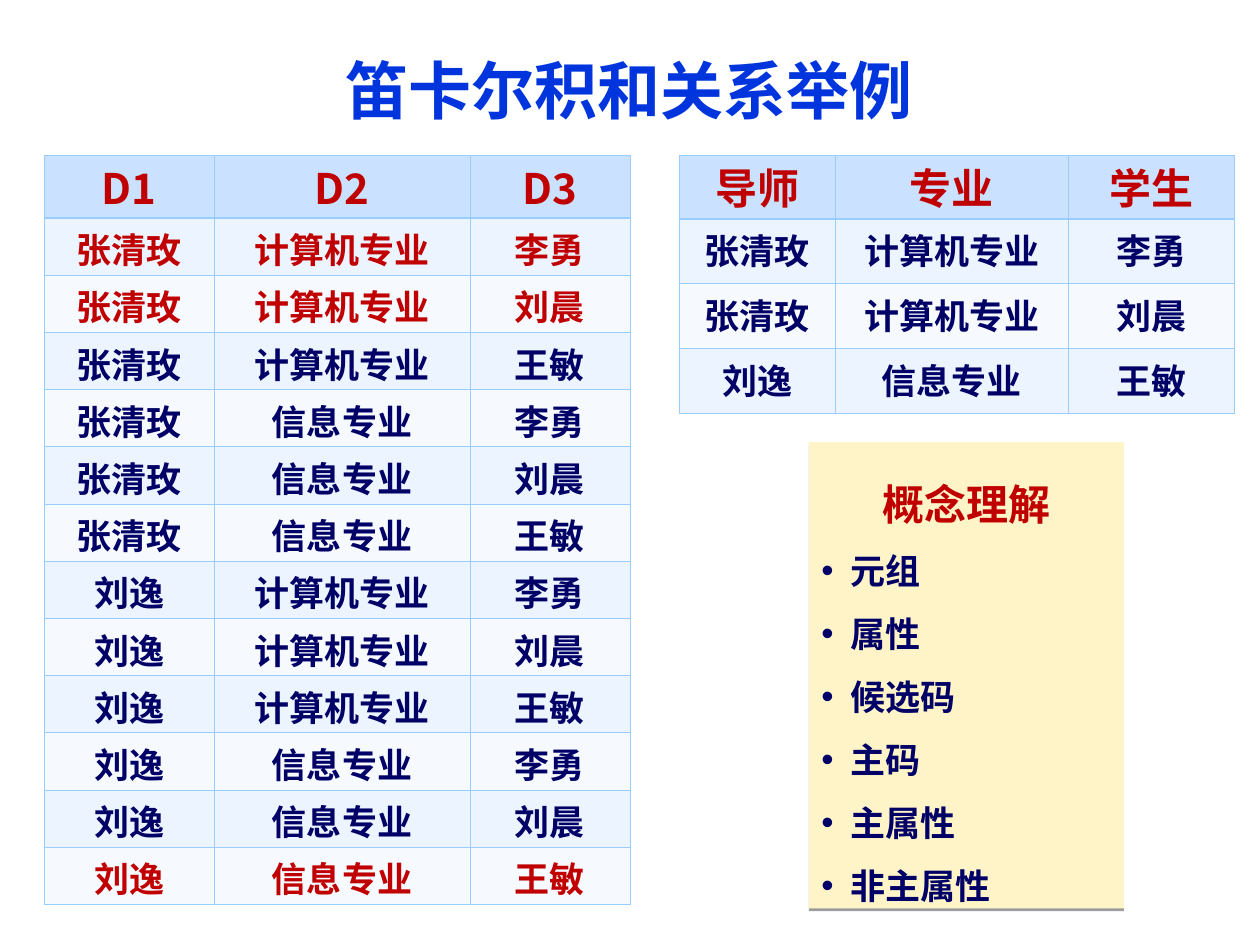
from dataclasses import dataclass
from itertools import product

from lxml import etree
from pptx import Presentation
from pptx.dml.color import RGBColor
from pptx.enum.shapes import MSO_SHAPE
from pptx.enum.text import MSO_ANCHOR, MSO_AUTO_SIZE, PP_ALIGN
from pptx.oxml.ns import qn
from pptx.util import Inches, Pt

RECT = MSO_SHAPE.RECTANGLE
TOP, BOTTOM = MSO_ANCHOR.TOP, MSO_ANCHOR.BOTTOM
LEFT, CENTER = PP_ALIGN.LEFT, PP_ALIGN.CENTER
FIXED = MSO_AUTO_SIZE.NONE


@dataclass(frozen=True)
class Theme:
    font: str = "Noto Sans CJK SC"
    title: str = "0035DE"
    red: str = "C00000"
    navy: str = "000066"
    head: str = "CAE2FF"
    bands: tuple = ("ECF4FF", "F6FAFF")
    grid: str = "99CCFF"
    note: str = "FFF4C8"
    big: int = 36
    mid: int = 24
    small: int = 20
    thin: float = 0.45
    thick: float = 1.47


THEME = Theme()

TUTORS = ["张清玫", "刘逸"]
MAJORS = ["计算机专业", "信息专业"]
PUPILS = ["李勇", "刘晨", "王敏"]
RELATION = [
    ("张清玫", "计算机专业", "李勇"),
    ("张清玫", "计算机专业", "刘晨"),
    ("刘逸", "信息专业", "王敏"),
]
TERMS = ["元组", "属性", "候选码", "主码", "主属性", "非主属性"]


def add_node(parent, tag, **attrs):
    node = etree.SubElement(parent, qn(tag))
    for key, value in attrs.items():
        node.set(key, str(value))
    return node


def style(para, size, color, align=CENTER):
    para.alignment = align
    font = para.font
    font.size, font.bold = Pt(size), True
    font.color.rgb = RGBColor.from_string(color)
    font.name = THEME.font
    props = para._p.pPr.find(qn("a:defRPr"))
    add_node(props, "a:ea", typeface=THEME.font)


def add_bullet(para):
    props = para._p.get_or_add_pPr()
    indent = Inches(0.23)
    props.set("marL", str(indent))
    props.set("indent", str(-indent))
    color = add_node(props, "a:buClr")
    add_node(color, "a:srgbClr", val=THEME.navy)
    add_node(props, "a:buFont", typeface="Arial")
    add_node(props, "a:buChar", char="•")


def add_title(slide, text):
    title = slide.shapes.title
    title.left, title.top = Inches(0.27), Inches(0.13)
    title.width, title.height = Inches(9.45), Inches(0.88)
    frame = title.text_frame
    frame.text = text
    frame.auto_size = FIXED
    frame.vertical_anchor = BOTTOM
    frame.margin_bottom = 0
    style(frame.paragraphs[0], THEME.big, THEME.title)


def set_cell(cell, text, size, color, fill, top, bottom):
    """Fill one cell; top and bottom are border widths in points."""
    cell.text = text
    cell.vertical_anchor = TOP
    cell.margin_top = Inches(0.01 if size == THEME.mid else 0.04)
    cell.margin_bottom = 0
    style(cell.text_frame.paragraphs[0], size, color)
    props = cell._tc.get_or_add_tcPr()
    widths = {"L": THEME.thin, "R": THEME.thin, "T": top, "B": bottom}
    for side, width in widths.items():
        line = add_node(props, f"a:ln{side}", w=int(Pt(width)))
        paint = add_node(line, "a:solidFill")
        add_node(paint, "a:srgbClr", val=THEME.grid)
    cell.fill.solid()
    cell.fill.fore_color.rgb = RGBColor.from_string(fill)


def add_grid(slide, left, height, head, widths, names, rows, marked=()):
    """Add a table; head is the header height, marked rows turn red."""
    frame = slide.shapes.add_table(
        len(rows) + 1, len(names), Inches(left), Inches(1.23),
        Inches(sum(widths)), Inches(height))
    table = frame.table
    table.first_row = table.horz_banding = False
    for col, width in zip(table.columns, widths):
        col.width = Inches(width)
    for i, row in enumerate(table.rows):
        row.height = Inches((height - head) / len(rows) if i else head)
    for j, name in enumerate(names):
        set_cell(table.cell(0, j), name, THEME.mid, THEME.red, THEME.head,
                 THEME.thin, THEME.thick)
    for i, values in enumerate(rows):
        color = THEME.red if values in marked else THEME.navy
        top = THEME.thin if i else THEME.thick
        for j, value in enumerate(values):
            set_cell(table.cell(i + 1, j), value, THEME.small, color,
                     THEME.bands[i % 2], top, THEME.thin)


def add_shadow(shape):
    shape.shadow.inherit = False
    effects = shape._element.spPr.find(qn("a:effectLst"))
    drop = add_node(effects, "a:outerShdw", blurRad=0, dist=int(Pt(1.6)),
                    dir=5400000, rotWithShape=0)
    color = add_node(drop, "a:srgbClr", val="000000")
    add_node(color, "a:alpha", val=38000)


def add_note(slide, head, items):
    box = slide.shapes.add_shape(
        RECT, Inches(6.42), Inches(3.51), Inches(2.5), Inches(3.7))
    box.fill.solid()
    box.fill.fore_color.rgb = RGBColor.from_string(THEME.note)
    box.line.fill.background()
    add_shadow(box)
    frame = box.text_frame
    frame.word_wrap = True
    frame.auto_size = FIXED
    frame.vertical_anchor = TOP
    para = frame.paragraphs[0]
    para.text = head
    para.line_spacing = Pt(46)
    style(para, THEME.mid, THEME.red)
    for item in items:
        para = frame.add_paragraph()
        para.text = item
        para.line_spacing = Pt(36)
        add_bullet(para)
        style(para, THEME.small, THEME.navy, LEFT)


def main():
    deck = Presentation()
    deck.slide_width, deck.slide_height = Inches(10), Inches(7.5)
    slide = deck.slides.add_slide(deck.slide_layouts[5])
    add_title(slide, "笛卡尔积和关系举例")
    add_grid(slide, 0.35, 5.95, 0.5, [1.35, 2.03, 1.27],
             ["D1", "D2", "D3"], list(product(TUTORS, MAJORS, PUPILS)),
             RELATION)
    add_grid(slide, 5.39, 2.05, 0.51, [1.24, 1.85, 1.32],
             ["导师", "专业", "学生"], RELATION)
    add_note(slide, "概念理解", TERMS)
    deck.save("out.pptx")


if __name__ == "__main__":
    main()
